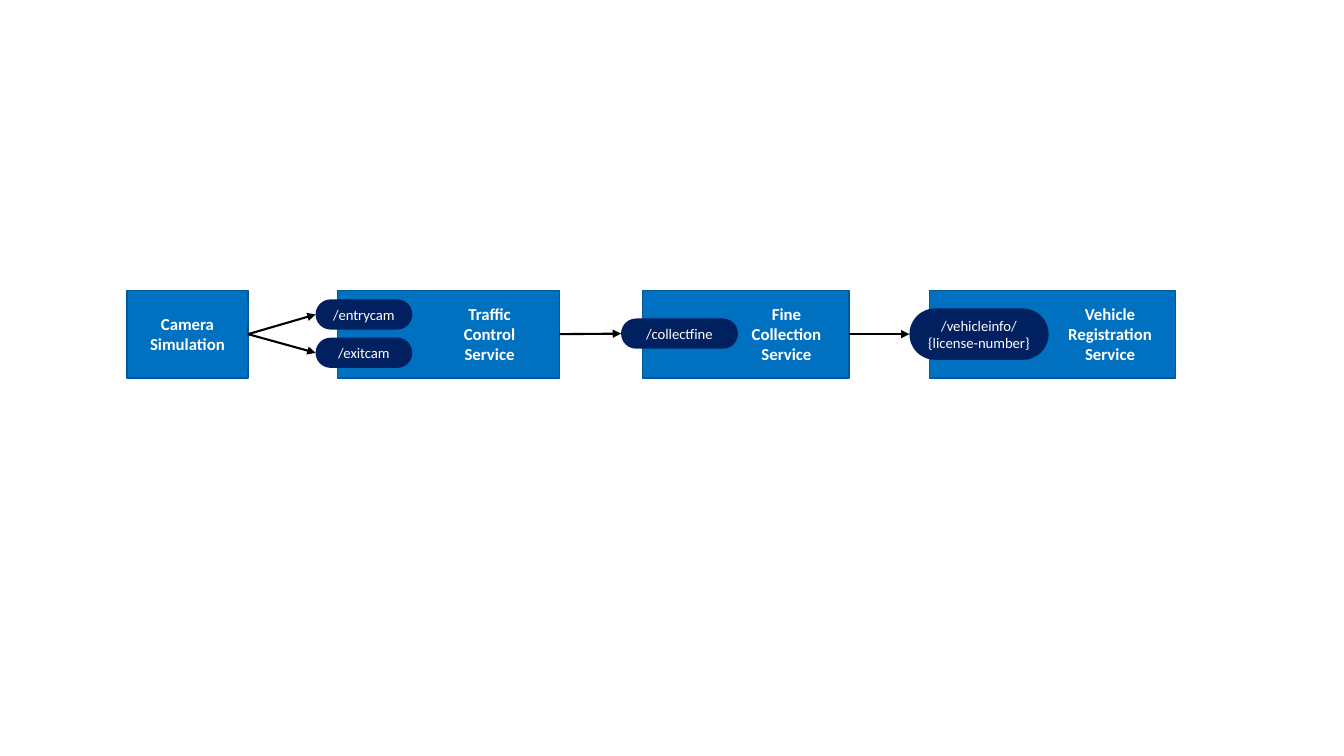
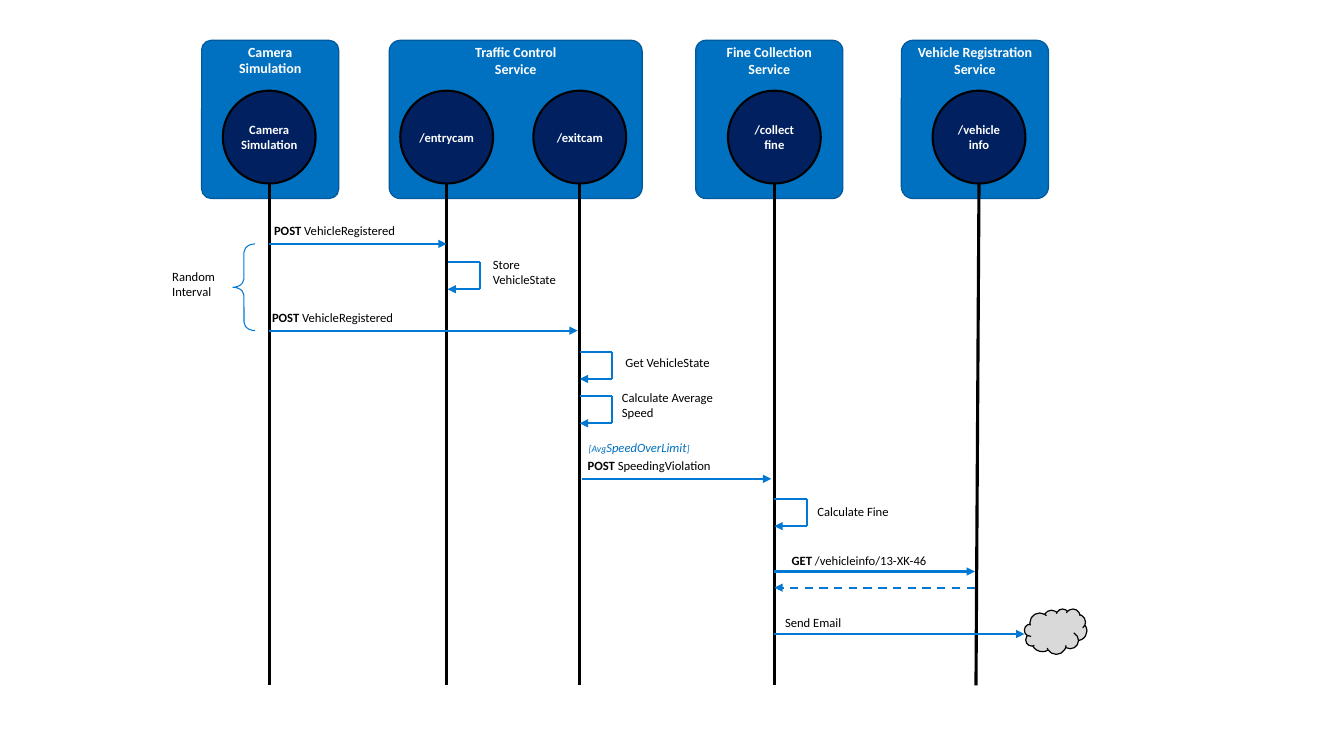
from itertools import pairwise
from pptx import Presentation
from pptx import util as u
from pptx.dml import color
from pptx.enum import dml, shapes, text
from pptx.oxml import ns, xmlchemy

BLUE, EDGE, NAVY, ARROW = "0070C0", "00599D", "002060", "0078D4"
WHITE, BLACK, GREY = "FFFFFF", "000000", "D9D9D9"
FORMS = shapes.MSO_SHAPE
LEFT, CENTER = text.PP_ALIGN.LEFT, text.PP_ALIGN.CENTER
TOP, MIDDLE = text.MSO_ANCHOR.TOP, text.MSO_ANCHOR.MIDDLE
NO_INSETS = (0, 0, 0, 0)
BOX_INSETS = (0.1, 0.05, 0.1, 0.05)

FONTS = {
    "service": {"size": 12, "color": WHITE, "bold": True},
    "endpoint": {"size": 10.5, "color": WHITE},
    "panel": {"size": 10, "color": WHITE, "bold": True},
    "participant": {"size": 9, "color": WHITE, "bold": True},
    "note": {"size": 9, "color": BLACK},
    "verb": {"size": 9, "color": BLACK, "bold": True},
    "guard": {"size": 9, "color": BLUE, "italic": True},
    "small guard": {"size": 7, "color": BLUE, "italic": True},
}

SERVICE_TOP, SERVICE_HEIGHT = 2.88, 0.87
SERVICES = [
    (["Camera", "Simulation"], 1.26, 1.2, BOX_INSETS),
    (["Traffic", "Control", "Service"], 3.35, 2.2, (0.91, 0.05, 0.1, 0.05)),
    (["Fine", "Collection", "Service"], 6.37, 2.05, (0.91, 0.05, 0.1, 0.05)),
    (["Vehicle", "Registration", "Service"], 9.22, 2.44, (1.14, 0.05, 0, 0.05)),
]
ENDPOINTS = [
    (0, ["/entrycam"], 3.13, 2.97, 0.96, 0.3),
    (0, ["/exitcam"], 3.13, 3.35, 0.96, 0.3),
    (1, ["/collectfine"], 6.16, 3.16, 1.16, 0.3),
    (2, ["/vehicleinfo/", "{license-number}"], 9.02, 3.06, 1.38, 0.51),
]

PANEL_TOP, PANEL_HEIGHT = 0.4, 1.57
PANELS = [
    (["Camera", "Simulation"], 2, 1.36, 0.07),
    (["Traffic Control", "Service"], 3.86, 2.51, 0.07),
    (["Fine Collection", "Service"], 6.9, 1.46, 0.07),
    (["Vehicle Registration", "Service"], 8.94, 1.46, 0.08),
]
CIRCLE_TOP, CIRCLE_SIZE, LIFELINE_END = 0.9, 0.92, 6.8
CAMERA, ENTRY, EXIT, FINE, VEHICLE, VEHICLE_END = 2.67, 4.43, 5.75, 7.68, 9.71, 9.68
PARTICIPANTS = [
    (["Camera", "Simulation"], CAMERA, CAMERA),
    (["/entrycam"], ENTRY, ENTRY),
    (["/exitcam"], EXIT, EXIT),
    (["/collect", "fine"], FINE, FINE),
    (["/vehicle", "info"], VEHICLE, VEHICLE_END),
]
MESSAGES = [
    (CAMERA, ENTRY, 2.42, False),
    (CAMERA, 5.73, 3.28, False),
    (5.77, 7.65, 4.75, False),
    (FINE, 9.67, 5.67, False),
    (9.67, FINE, 5.83, True),
    (FINE, 10.16, 6.29, False),
]
LOOP_WIDTH, LOOP_HEIGHT = 0.32, 0.27
SELF_CALLS = [(ENTRY + 0.01, 2.6), (EXIT, 3.49), (EXIT, 3.93), (FINE, 4.95)]

POST_REGISTERED = [[("POST ", "verb"), ("VehicleRegistered", "note")]]
NOTES = [
    (POST_REGISTERED, 2.62, 2.16, 1.43, LEFT),
    (POST_REGISTERED, 2.6, 3.02, 1.43, LEFT),
    (["Random", "Interval"], 1.61, 2.62, 0.63, LEFT),
    (["Store", "VehicleState"], 4.79, 2.5, 0.84, LEFT),
    (["Get VehicleState"], 6.09, 3.47, 1.06, CENTER),
    (["Calculate Average", "Speed"], 6.07, 3.82, 1.15, LEFT),
    ([[("[Avg", "small guard"), ("SpeedOverLimit", "guard"), ("]", "small guard")]],
     5.74, 4.31, 1.22, LEFT),
    ([[("POST ", "verb"), ("SpeedingViolation", "note")]], 5.73, 4.49, 1.44, LEFT),
    (["Calculate Fine"], 8, 4.95, 0.92, CENTER),
    ([[("GET ", "verb"), ("/vehicleinfo/13-XK-46", "note")]], 7.74, 5.44, 1.56, CENTER),
    (["Send Email"], 7.68, 6.05, 0.77, CENTER),
]


def rgb(value):
    return color.RGBColor.from_string(value)


def inches(*lengths):
    return [u.Inches(length) for length in lengths]


def write(frame, lines, style, insets=BOX_INSETS, anchor=MIDDLE, align=CENTER, wrap=True):
    layout = dict(zip(("margin_left", "margin_top", "margin_right", "margin_bottom"),
                      inches(*insets)))
    layout.update(vertical_anchor=anchor, word_wrap=wrap)
    for name, value in layout.items():
        setattr(frame, name, value)
    for index, line in enumerate(lines):
        paragraph = frame.paragraphs[0] if index == 0 else frame.add_paragraph()
        paragraph.alignment = align
        for words, font_style in [(line, style)] if isinstance(line, str) else line:
            run = paragraph.add_run()
            run.text = words
            formats = {"name": "Calibri", "bold": False, **FONTS[font_style]}
            run.font.color.rgb = rgb(formats.pop("color"))
            formats["size"] = u.Pt(formats["size"])
            for name, value in formats.items():
                setattr(run.font, name, value)


def add_form(slide, form, box, fill=None, edge=None, width=0.85, adjust=()):
    shape = slide.shapes.add_shape(form, *inches(*box))
    shape.shadow.inherit = False
    for target, value in ((shape.fill, fill), (shape.line.fill, edge)):
        if value:
            target.solid()
            target.fore_color.rgb = rgb(value)
        else:
            target.background()
    if edge:
        shape.line.width = u.Pt(width)
    for index, value in enumerate(adjust):
        shape.adjustments[index] = value
    return shape


def add_line(slide, start, end, ink, width=1.5, arrow=False, dashed=False):
    connector = slide.shapes.add_connector(
        shapes.MSO_CONNECTOR.STRAIGHT, *inches(*start, *end))
    connector.line.color.rgb = rgb(ink)
    connector.line.width = u.Pt(width)
    if dashed:
        connector.line.dash_style = dml.MSO_LINE.DASH
    properties = connector.element.spPr
    if arrow:
        tip = xmlchemy.OxmlElement("a:tailEnd")
        tip.set("type", "triangle")
        properties.find(ns.qn("a:ln")).append(tip)
    properties.append(xmlchemy.OxmlElement("a:effectLst"))


def build_architecture(slide):
    for label, left, width, insets in SERVICES:
        service = add_form(slide, FORMS.RECTANGLE,
                           (left, SERVICE_TOP, width, SERVICE_HEIGHT), BLUE, EDGE)
        write(service.text_frame, label, "service", insets)
    for caller, label, left, top, width, height in ENDPOINTS:
        endpoint = add_form(slide, FORMS.ROUNDED_RECTANGLE,
                            (left, top, width, height), NAVY, adjust=[0.5])
        write(endpoint.text_frame, label, "endpoint")
        _, caller_left, caller_width, _ = SERVICES[caller]
        add_line(slide, (caller_left + caller_width, SERVICE_TOP + SERVICE_HEIGHT / 2),
                 (left, top + height / 2), BLACK, arrow=True)


def build_sequence(slide):
    for label, left, width, rounding in PANELS:
        panel = add_form(slide, FORMS.ROUNDED_RECTANGLE,
                         (left, PANEL_TOP, width, PANEL_HEIGHT), BLUE, EDGE, adjust=[rounding])
        write(panel.text_frame, label, "panel", NO_INSETS, TOP)
    for label, center, foot in PARTICIPANTS:
        participant = add_form(
            slide, FORMS.OVAL,
            (center - CIRCLE_SIZE / 2, CIRCLE_TOP, CIRCLE_SIZE, CIRCLE_SIZE), NAVY, BLACK, 1.5)
        write(participant.text_frame, label, "participant", NO_INSETS)
        add_line(slide, (center, CIRCLE_TOP + CIRCLE_SIZE), (foot, LIFELINE_END), BLACK, 2.25)
    for start, end, y, dashed in MESSAGES:
        add_line(slide, (start, y), (end, y), ARROW, arrow=True, dashed=dashed)
    for x, y in SELF_CALLS:
        right, bottom = x + LOOP_WIDTH, y + LOOP_HEIGHT
        corners = [(x, y), (right, y), (right, bottom), (x, bottom)]
        for start, end in pairwise(corners):
            add_line(slide, start, end, ARROW, arrow=end == corners[-1])
    add_form(slide, FORMS.CLOUD, (10.16, 6.04, 0.62, 0.45), GREY, BLACK)
    add_form(slide, FORMS.LEFT_BRACE, (2.31, 2.42, 0.22, 0.86),
             edge=ARROW, width=0.75, adjust=[0.38, 0.5])
    for lines, left, top, width, align in NOTES:
        note = slide.shapes.add_textbox(*inches(left, top, width, 0.1 + 0.15 * len(lines)))
        write(note.text_frame, lines, "note", anchor=TOP, align=align, wrap=False)


deck = Presentation()
deck.slide_width, deck.slide_height = inches(13.33, 7.5)
for build in (build_architecture, build_sequence):
    build(deck.slides.add_slide(deck.slide_layouts[6]))
deck.save("out.pptx")
